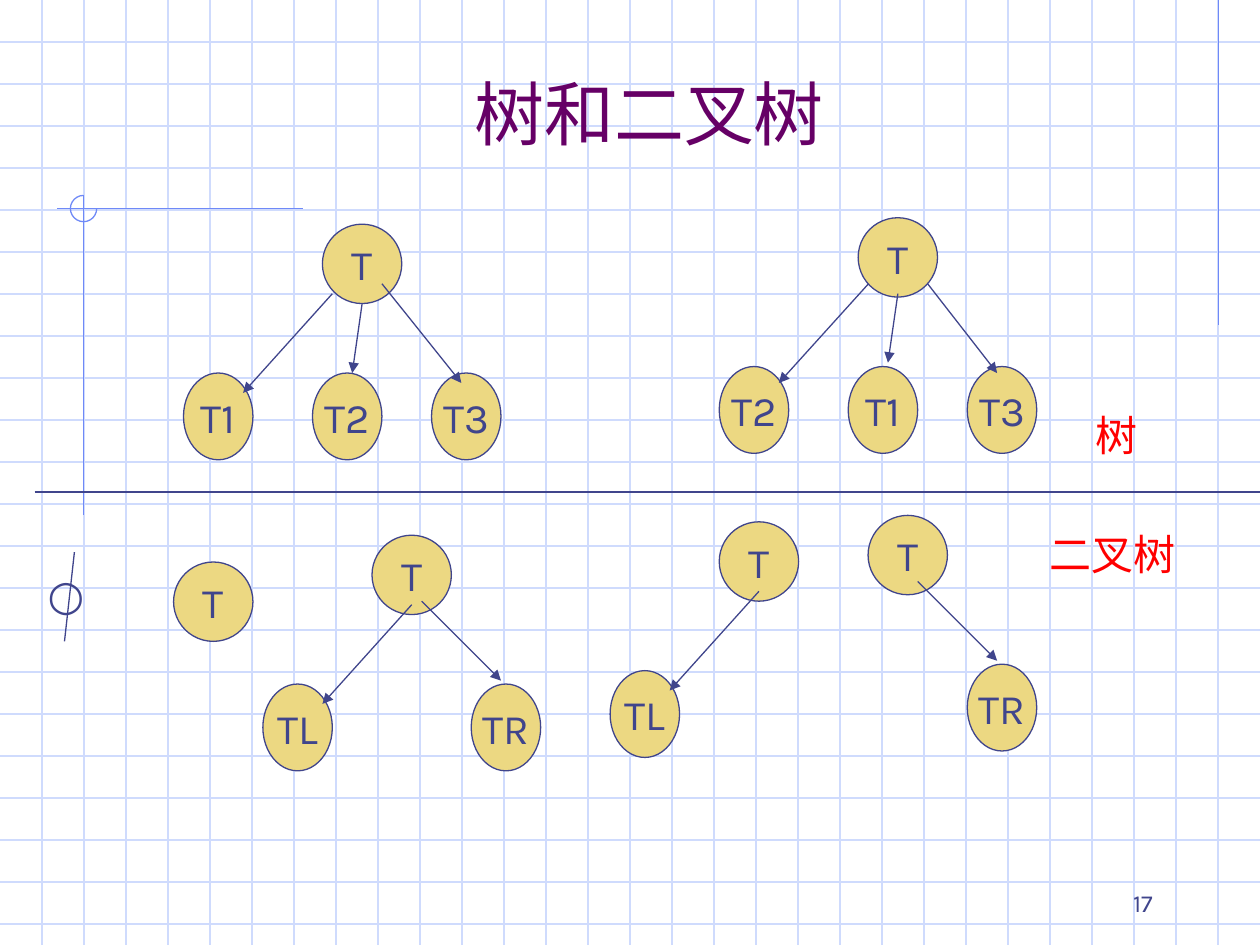
from lxml import etree
from pptx import Presentation
from pptx import util as u
from pptx.dml.color import RGBColor
from pptx.enum import shapes, text
from pptx.oxml.ns import qn

# Theme: colours, fonts and sizes
THEME = {
    "grid": "CFDBFD", "accent": "6F89F7", "ink": "40458C", "node": "ECD882",
    "title": "660066", "label": "FF0000",
    "latin": "Karla", "cjk": "Noto Sans CJK SC",
    "title_size": 40, "body_size": 24, "number_size": 14, "line": 0.75,
}

# Content; all lengths in centimetres
WIDTH, HEIGHT, GRID_STEP = 25.4, 19.05, 25.4 / 30
ROOT_SIZE, CHILD_SIZE = (1.6, 1.6), (1.4, 1.75)
TITLE = ("树和二叉树", (2.29, 0.71, 21.59, 2.54))

# Children and arrows are placed relative to the root's top left corner
CHILD_DROP = 3.0
THREE_CHILDREN = (-2.8, -0.2, 2.2)
LEFT_ARROW = (0.8, 1.4, -1.0, 3.4)
RIGHT_ARROW = (1.0, 1.33, 2.6, 2.93)
TREES = [
    {"root": (6.5, 4.52), "children": list(zip(("T1", "T2", "T3"), THREE_CHILDREN)),
     "arrows": [(0.2, 1.4, -1.6, 3.4), (0.8, 1.6, 0.6, 3.0), (1.2, 1.2, 2.8, 3.2)]},
    {"root": (17.3, 4.39), "children": list(zip(("T2", "T1", "T3"), THREE_CHILDREN)),
     "arrows": [(0.2, 1.34, -1.6, 3.33), (0.8, 1.53, 0.6, 2.92), (1.4, 1.33, 2.8, 3.13)]},
    {"root": (7.5, 10.79), "children": [("TL", -2.2), ("TR", 2.0)],
     "arrows": [LEFT_ARROW, RIGHT_ARROW]},
    {"root": (3.5, 11.33), "children": [], "arrows": []},
    {"root": (14.5, 10.52), "children": [("TL", -2.2)], "arrows": [LEFT_ARROW]},
    {"root": (17.5, 10.39), "children": [("TR", 2.0)], "arrows": [RIGHT_ARROW]},
]
DIVIDER = (0.7, 9.92, WIDTH, 9.92)
EMPTY_TREE_STROKE = (1.5, 11.13, 1.3, 12.93)
LABELS = [  # text, box, colour, size, alignment, anchor, wrap
    ("○", (0.71, 11.33, 1.35, 1.27), "ink", "body_size", "LEFT", "TOP", False),
    ("树", (21.84, 8.13, 1.35, 1.27), "label", "body_size", "LEFT", "TOP", False),
    ("二叉树", (20.9, 10.52, 4.24, 1.27), "label", "body_size", "LEFT", "TOP", True),
    ("17", (18.21, 17.35, 5.28, 1.27), "ink", "number_size", "RIGHT", "BOTTOM", True),
]
ORNAMENT_LINES = [(24.56, 0, 24.56, 6.55), (6.1, 4.21, 1.15, 4.21), (1.69, 3.94, 1.69, 10.39)]
ORNAMENT_ARC = (1.42, 3.94, 0.53, 0.53)


def cm(values):
    return [u.Cm(value) for value in values]


def color(name):
    return RGBColor.from_string(THEME[name])


def add_line(container, ends, color_name, arrow=False):
    connector = container.add_connector(shapes.MSO_CONNECTOR.STRAIGHT, *cm(ends))
    connector.line.color.rgb = color(color_name)
    connector.line.width = u.Pt(THEME["line"])
    properties = connector._element.spPr
    if arrow:
        etree.SubElement(properties.find(qn("a:ln")), qn("a:tailEnd"), type="triangle")
    etree.SubElement(properties, qn("a:effectLst"))


def write(shape, words, color_name, size, align="CENTER", anchor="MIDDLE",
          wrap=False, latin="latin"):
    frame = shape.text_frame
    frame.auto_size = text.MSO_AUTO_SIZE.NONE
    frame.word_wrap = wrap
    frame.vertical_anchor = text.MSO_ANCHOR[anchor]
    paragraph = frame.paragraphs[0]
    paragraph.alignment = text.PP_ALIGN[align]
    run = paragraph.add_run()
    run.text = words
    run.font.size = u.Pt(THEME[size])
    run.font.color.rgb = color(color_name)
    run.font.name = THEME[latin]
    etree.SubElement(run.font._element, qn("a:ea"), typeface=THEME["cjk"])


def add_node(slide, words, position, size):
    node = slide.shapes.add_shape(shapes.MSO_SHAPE.OVAL, *cm((*position, *size)))
    node.shadow.inherit = False
    node.fill.solid()
    node.fill.fore_color.rgb = color("node")
    node.line.color.rgb = color("ink")
    node.line.width = u.Pt(THEME["line"])
    write(node, words, "ink", "body_size")


def add_backdrop(slide):
    group = slide.shapes.add_group_shape()
    for row in range(1, 23):
        add_line(group.shapes, (0, row * GRID_STEP, WIDTH, row * GRID_STEP), "grid")
    for column in range(1, 30):
        add_line(group.shapes, (column * GRID_STEP, 0, column * GRID_STEP, HEIGHT), "grid")
    for ends in ORNAMENT_LINES:
        add_line(group.shapes, ends, "accent")
    arc = group.shapes.add_shape(shapes.MSO_SHAPE.ARC, *cm(ORNAMENT_ARC))
    arc.shadow.inherit = False
    arc.adjustments[0], arc.adjustments[1] = 0, 162  # from 0 to 270 degrees
    arc.fill.background()
    arc.line.color.rgb = color("accent")
    arc.line.width = u.Pt(THEME["line"])
    # Behind the title
    slide.shapes._spTree.insert(2, group._element)


def add_tree(slide, tree):
    left, top = tree["root"]
    add_node(slide, "T", tree["root"], ROOT_SIZE)
    for words, offset in tree["children"]:
        add_node(slide, words, (left + offset, top + CHILD_DROP), CHILD_SIZE)
    for x1, y1, x2, y2 in tree["arrows"]:
        add_line(slide.shapes, (left + x1, top + y1, left + x2, top + y2), "ink", arrow=True)


def main():
    presentation = Presentation()
    presentation.slide_width, presentation.slide_height = cm((WIDTH, HEIGHT))
    slide = presentation.slides.add_slide(presentation.slide_layouts[5])
    add_backdrop(slide)

    # Title
    words, box = TITLE
    title = slide.shapes.title
    title.left, title.top, title.width, title.height = cm(box)
    write(title, words, "title", "title_size", anchor="BOTTOM", wrap=True, latin="cjk")

    # Trees above the divider, binary trees below it
    for tree in TREES:
        add_tree(slide, tree)
    add_line(slide.shapes, DIVIDER, "ink")

    # Labels, empty tree sign and slide number
    for words, box, *style in LABELS:
        write(slide.shapes.add_textbox(*cm(box)), words, *style)
    add_line(slide.shapes, EMPTY_TREE_STROKE, "ink")

    presentation.save("out.pptx")


if __name__ == "__main__":
    main()
